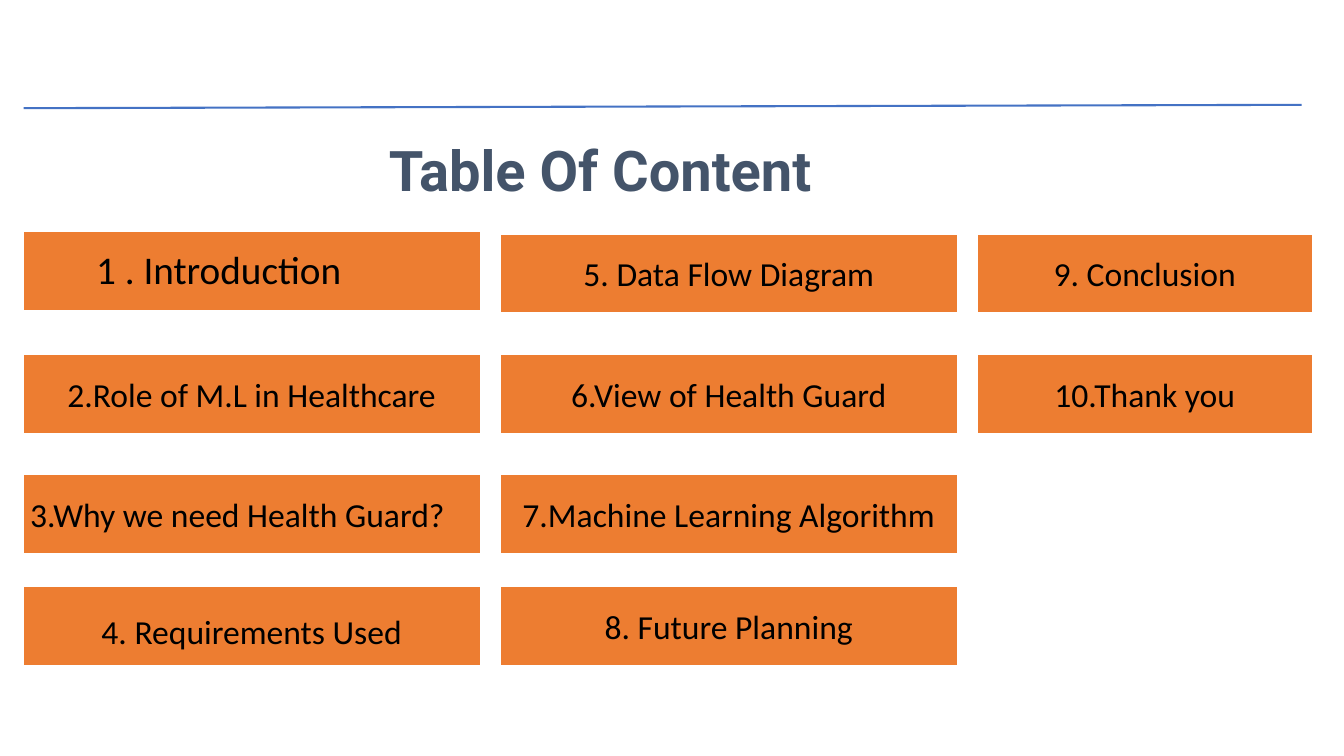
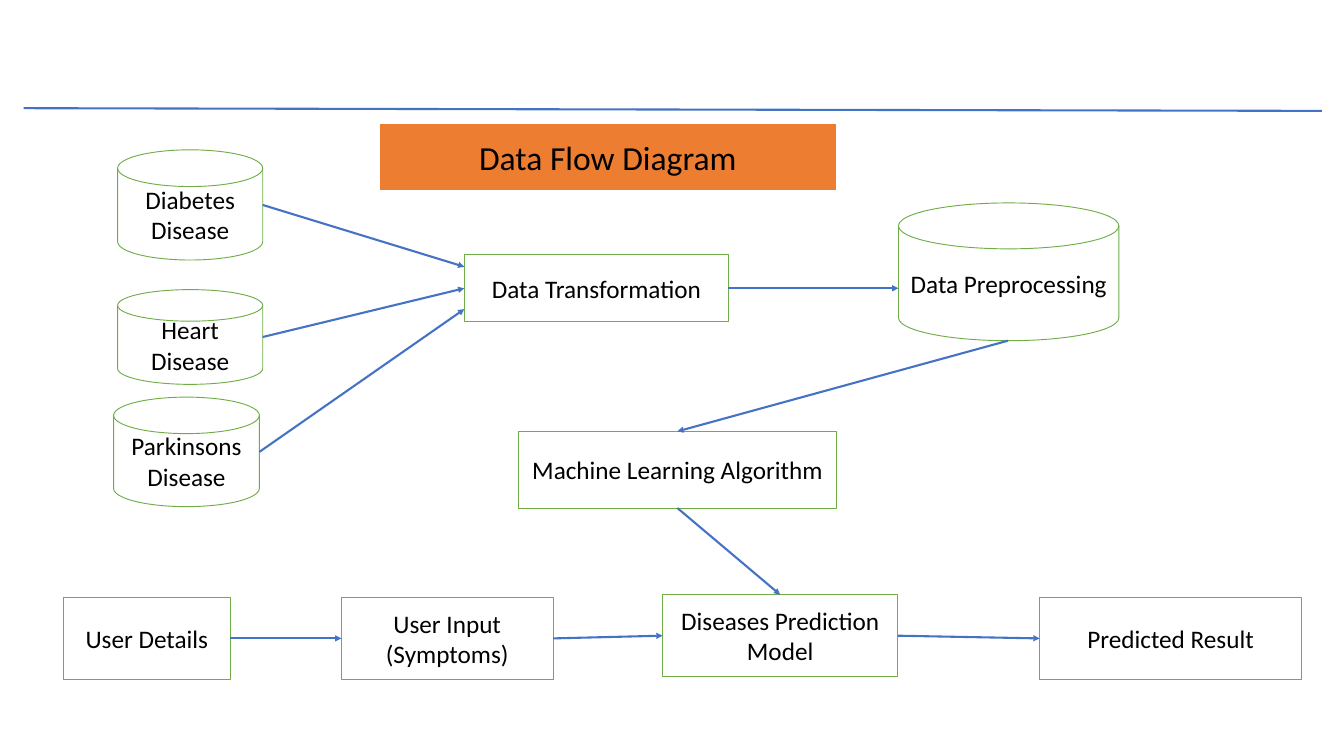
import pptx
import pptx.util
import pptx.dml.color
import pptx.enum.shapes
import pptx.enum.text
import pptx.oxml
import pptx.oxml.ns

Inches = pptx.util.Inches
Pt = pptx.util.Pt
SHAPE = pptx.enum.shapes.MSO_SHAPE
ALIGN = pptx.enum.text.PP_ALIGN

BLUE = pptx.dml.color.RGBColor(0x44, 0x72, 0xC4)
SLATE = pptx.dml.color.RGBColor(0x44, 0x54, 0x6A)
ORANGE = pptx.dml.color.RGBColor(0xED, 0x7D, 0x31)
GREEN = pptx.dml.color.RGBColor(0x70, 0xAD, 0x47)
WHITE = pptx.dml.color.RGBColor(0xFF, 0xFF, 0xFF)
BLACK = pptx.dml.color.RGBColor(0, 0, 0)

LEFT = 0.35      # left edge shared by the rules and the contents grid
RULE_Y = 1.61
BAND_W = 6.79


def add_box(slide, place, lines, size, fill, outline=None, kind=SHAPE.FLOWCHART_PROCESS):
    """Filled shape with centred text, one paragraph per line."""
    box = slide.shapes.add_shape(kind, *[Inches(n) for n in place])
    box.shadow.inherit = False
    box.fill.solid()
    box.fill.fore_color.rgb = fill
    if outline is None:
        box.line.fill.background()
    else:
        box.line.color.rgb = outline
        box.line.width = Pt(1)
    frame = box.text_frame
    frame.word_wrap = True
    frame.vertical_anchor = pptx.enum.text.MSO_ANCHOR.MIDDLE
    for i, line in enumerate(lines):
        paragraph = frame.add_paragraph() if i else frame.paragraphs[0]
        paragraph.alignment = ALIGN.CENTER
        run = paragraph.add_run()
        run.text = line
        run.font.name = "Calibri"
        run.font.size = Pt(size)
        run.font.color.rgb = BLACK
    return box


def add_line(slide, start, end, arrow=True):
    """Straight blue line, with a triangle at its end if it is an arrow."""
    line = slide.shapes.add_connector(
        pptx.enum.shapes.MSO_CONNECTOR.STRAIGHT, *[Inches(n) for n in start + end])
    line.line.color.rgb = BLUE
    line.line.width = Pt(2.25)
    if arrow:
        tail = pptx.oxml.parse_xml(
            '<a:tailEnd %s type="triangle"/>' % pptx.oxml.ns.nsdecls("a"))
        line.line._get_or_add_ln().append(tail)
    effects = pptx.oxml.parse_xml("<a:effectLst %s/>" % pptx.oxml.ns.nsdecls("a"))
    line._element.spPr.append(effects)
    return line


deck = pptx.Presentation()
deck.slide_width = Inches(20)
deck.slide_height = Inches(11.25)
blank = deck.slide_layouts[6]

# Slide 1: table of content
contents = deck.slides.add_slide(blank)
add_line(contents, (LEFT, RULE_Y), (19.37, 1.56), arrow=False)

heading = contents.shapes.add_textbox(Inches(5.69), Inches(1.97), Inches(7.25), Inches(1.11))
heading.text_frame.word_wrap = True
heading_run = heading.text_frame.paragraphs[0].add_run()
heading_run.text = "Table Of Content"
heading_run.font.name = "Roboto"
heading_run.font.size = Pt(60)
heading_run.font.bold = True
heading_run.font.color.rgb = SLATE

# Grid of topics, filled column by column
row_tops = [3.49, 5.28, 7.07, 8.74]
columns = [
    (LEFT, BAND_W, [None, "2.Role of M.L in Healthcare",
                    "3.Why we need Health Guard?", "4. Requirements Used"]),
    (7.45, BAND_W, ["5. Data Flow Diagram", "6.View of Health Guard",
                    "7.Machine Learning Algorithm", "8. Future Planning"]),
    (14.55, 4.97, ["9. Conclusion", "10.Thank you"]),
]
for left, width, topics in columns:
    for top, topic in zip(row_tops, topics):
        if topic is None:  # the introduction band sits a little higher, its label apart
            add_box(contents, (left, 3.45, width, 1.16), [], 36, ORANGE)
            continue
        band = add_box(contents, (left, top, width, 1.16), [topic], 36, ORANGE)
        if topic.startswith("3."):
            band.text_frame.paragraphs[0].alignment = ALIGN.LEFT
        elif topic.startswith("4."):
            band.text_frame.margin_top = Inches(0.2)

introduction = contents.shapes.add_textbox(Inches(0.53), Inches(3.6), Inches(BAND_W), Inches(0.81))
introduction.text_frame.word_wrap = True
introduction.text_frame.margin_left = Inches(0.9)
introduction_run = introduction.text_frame.paragraphs[0].add_run()
introduction_run.text = "1 . Introduction"
introduction_run.font.name = "Calibri"
introduction_run.font.size = Pt(42)
introduction_run.font.color.rgb = BLACK

# Slide 2: data flow diagram
flow = deck.slides.add_slide(blank)
add_line(flow, (LEFT, RULE_Y), (19.67, 1.65), arrow=False)
add_box(flow, (5.65, 1.84, BAND_W, 0.98), ["Data Flow Diagram"], 36, ORANGE)

# Process steps
steps = {}
for step, place, lines in [
    ("transformation", (6.91, 3.79, 3.93, 1), ["Data Transformation"]),
    ("algorithm", (7.72, 6.42, 4.72, 1.14), ["Machine Learning Algorithm"]),
    ("details", (0.94, 8.89, 2.49, 1.22), ["User Details"]),
    ("input", (5.08, 8.89, 3.15, 1.22), ["User Input", "(Symptoms)"]),
    ("model", (9.86, 8.85, 3.5, 1.22), ["Diseases Prediction Model"]),
    ("result", (15.47, 8.89, 3.9, 1.22), ["Predicted Result"]),
]:
    steps[step] = add_box(flow, place, lines, 27, WHITE, GREEN)

# Disease data sets, each with an arrow to the left side of the transformation
for place, lines, entry_y in [
    ((1.75, 2.23, 2.16, 1.64), ["Diabetes", "Disease"], 3.97),
    ((1.75, 4.31, 2.16, 1.41), ["Heart", "Disease"], 4.29),
    ((1.69, 5.91, 2.17, 1.63), ["Parkinsons Disease"], 4.6),
]:
    add_box(flow, place, lines, 27, WHITE, GREEN, SHAPE.FLOWCHART_MAGNETIC_DISK)
    left, top, width, height = place
    feed = add_line(flow, (left + width, top + height / 2), (6.91, entry_y))
    if entry_y == 4.29:
        feed.end_connect(steps["transformation"], 1)

# Preprocessing store between transformation and algorithm
add_box(flow, (13.37, 3.02, 3.28, 2.05), ["Data Preprocessing"], 27, WHITE, GREEN,
        SHAPE.FLOWCHART_MAGNETIC_DISK)
to_store = add_line(flow, (10.84, 4.29), (13.37, 4.29))
to_store.begin_connect(steps["transformation"], 3)
from_store = add_line(flow, (15, 5.07), (10.08, 6.42))
from_store.end_connect(steps["algorithm"], 0)

# Arrows between steps: side 2 is bottom, 3 right, 0 top, 1 left
for source, source_side, target, target_side in [
    ("algorithm", 2, "model", 0),
    ("details", 3, "input", 1),
    ("input", 3, "model", 1),
    ("model", 3, "result", 1),
]:
    link = add_line(flow, (0, 0), (1, 1))
    link.begin_connect(steps[source], source_side)
    link.end_connect(steps[target], target_side)

deck.save("out.pptx")
